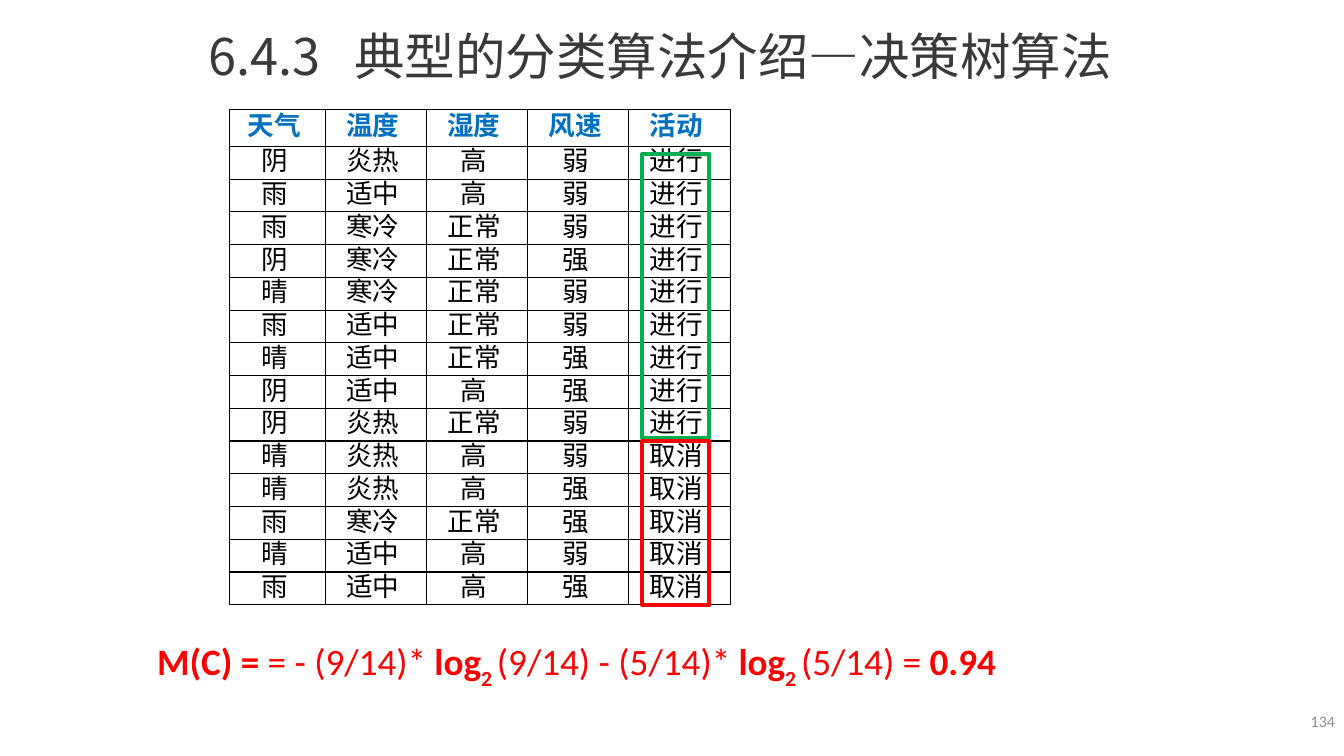
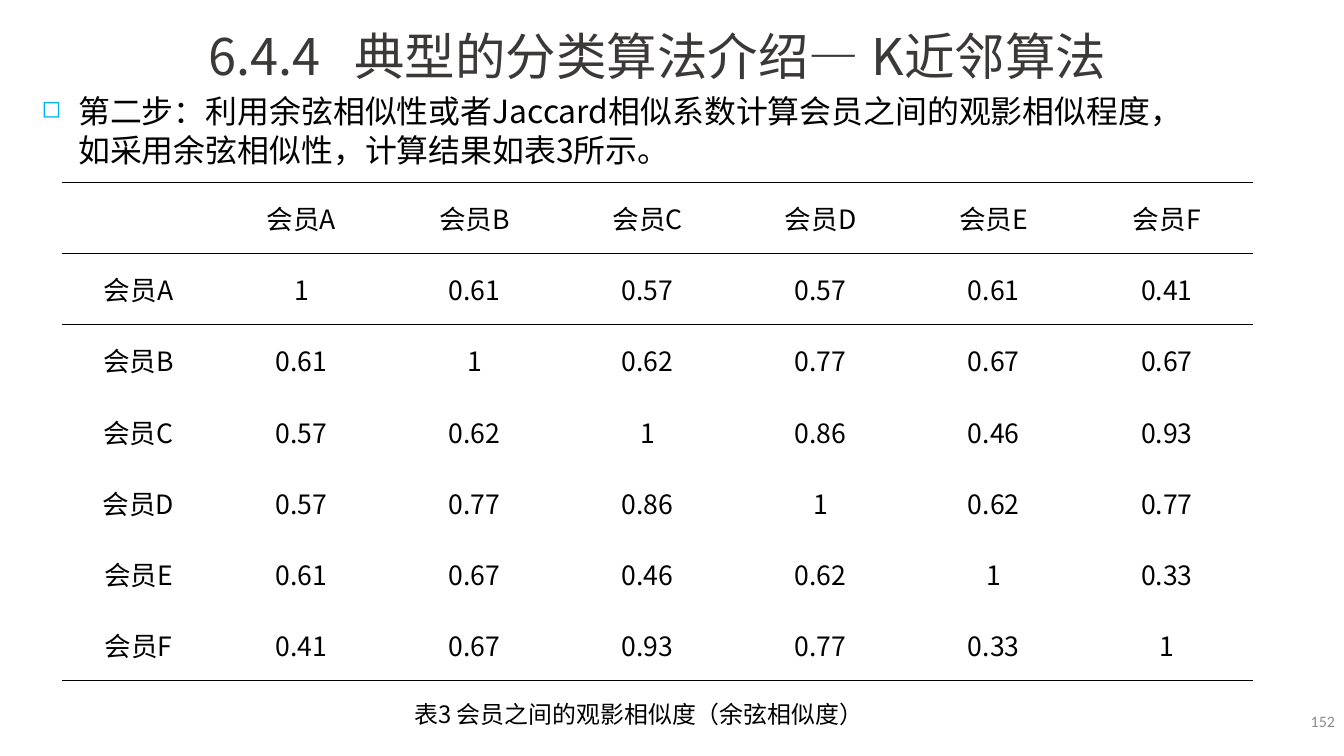
from lxml.etree import SubElement
from pptx import Presentation
from pptx.dml.color import RGBColor
from pptx.enum.shapes import MSO_SHAPE
from pptx.enum.text import MSO_ANCHOR, PP_ALIGN
from pptx.oxml.ns import qn
from pptx.util import Cm, Pt

COLORS = {
    "title": "3B3838", "number": "8C8C8C", "text": "000000", "header": "0070C0",
    "green": "00B050", "red": "FF0000", "bullet": "00B0F2",
}
CJK = "Noto Sans CJK SC"
LATIN = "Calibri"
NO_STYLE = "{2D5ABB26-0587-4C30-8999-92F81FD0307C}"


def style_span(span, size, color, font=CJK, bold=False):
    span.font.size = Pt(size)
    span.font.bold = bold
    span.font.color.rgb = RGBColor.from_string(COLORS[color])
    span.font.name = font
    SubElement(span.font._element, qn("a:ea"), typeface=font)


def add_text(page, place, texts, size, color, font=CJK, align=PP_ALIGN.LEFT,
             anchor=MSO_ANCHOR.TOP):
    frame = page.shapes.add_textbox(*[Cm(length) for length in place]).text_frame
    frame.word_wrap = True
    frame.vertical_anchor = anchor
    para = frame.paragraphs[0]
    para.alignment = align
    for text in texts:
        span = para.add_run()
        span.text = text
        style_span(span, size, color, font)
    return para


deck = Presentation()
deck.slide_width = Cm(35.71)
deck.slide_height = Cm(20.09)

weather_rows = [row.split() for row in (
    "天气 温度 湿度 风速 活动",
    "阴 炎热 高 弱 进行",
    "雨 适中 高 弱 进行",
    "雨 寒冷 正常 弱 进行",
    "阴 寒冷 正常 强 进行",
    "晴 寒冷 正常 弱 进行",
    "雨 适中 正常 弱 进行",
    "晴 适中 正常 强 进行",
    "阴 适中 高 强 进行",
    "阴 炎热 正常 弱 进行",
    "晴 炎热 高 弱 取消",
    "晴 炎热 高 强 取消",
    "雨 寒冷 正常 强 取消",
    "晴 适中 高 弱 取消",
    "雨 适中 高 强 取消",
)]
members = [f"会员{letter}" for letter in "ABCDEF"]
similarities = [
    "1 0.61 0.57 0.57 0.61 0.41",
    "0.61 1 0.62 0.77 0.67 0.67",
    "0.57 0.62 1 0.86 0.46 0.93",
    "0.57 0.77 0.86 1 0.62 0.77",
    "0.61 0.67 0.46 0.62 1 0.33",
    "0.41 0.67 0.93 0.77 0.33 1",
]
similarity_rows = [[""] + members]
similarity_rows += [[member] + row.split() for member, row in zip(members, similarities)]

slides = [
    {
        "title": ["6.4.3\t典型的分类算法介绍—决策树算法"], "number": "134",
        "rows": weather_rows, "place": (6.1, 2.9),
        "widths": [2.54] + [2.69] * 4, "heights": [0.99] + [0.87] * 14,
        "margins": (0.03, 0.03, 0.03, 0), "grid": True, "spacing": Pt(23),
        "header": "header", "suffix": " ",
    },
    {
        "title": ["6.4.4\t典型的分类算法介绍—", " ", "K近邻算法"], "number": "152",
        "rows": similarity_rows, "place": (1.65, 4.85),
        "widths": [4.06] + [4.6] * 6, "heights": [1.89] * 7,
        "margins": (0.18, 0, 0.18, 0), "grid": False, "spacing": None,
        "header": "text", "suffix": "",
    },
]

pages = []
for slide in slides:
    page = deck.slides.add_slide(deck.slide_layouts[6])
    pages.append(page)
    add_text(page, (27.69, 18.62, 8.03, 1.07), [slide["number"]], 12, "number",
             LATIN, PP_ALIGN.RIGHT, MSO_ANCHOR.MIDDLE)
    para = add_text(page, (5.3, 0.43, 25.5, 1.9), slide["title"], 38, "title")
    tabs = SubElement(para._p.get_or_add_pPr(), qn("a:tabLst"))
    SubElement(tabs, qn("a:tab"), pos=str(Cm(3.87)), algn="l")
    para.line_spacing = Pt(49)
    if len(para.runs) > 1:
        para.runs[1].font.size = Pt(40)
        para.runs[1].font.bold = True

    rows, widths, heights = slide["rows"], slide["widths"], slide["heights"]
    left, top = slide["place"]
    table = page.shapes.add_table(
        len(rows), len(widths), Cm(left), Cm(top), Cm(sum(widths)), Cm(sum(heights))
    ).table
    table.first_row = table.horz_banding = False
    table._tbl.tblPr.find(qn("a:tableStyleId")).text = NO_STYLE
    for column, width in zip(table.columns, widths):
        column.width = Cm(width)
    for r, row in enumerate(rows):
        table.rows[r].height = Cm(heights[r])
        for c, text in enumerate(row):
            cell = table.cell(r, c)
            cell.vertical_anchor = MSO_ANCHOR.MIDDLE
            (cell.margin_left, cell.margin_top, cell.margin_right,
             cell.margin_bottom) = [Cm(margin) for margin in slide["margins"]]
            ruled = {
                "L": slide["grid"], "R": slide["grid"],
                "T": slide["grid"] or r < 2,
                "B": slide["grid"] or r in (0, len(rows) - 1),
            }
            for side, shown in ruled.items():
                if shown:
                    line = SubElement(cell._tc.get_or_add_tcPr(), qn(f"a:ln{side}"), w=str(Pt(1)))
                    fill = SubElement(line, qn("a:solidFill"))
                    SubElement(fill, qn("a:srgbClr"), val=COLORS["text"])
            cell.fill.background()
            if text:
                para = cell.text_frame.paragraphs[0]
                para.text = text + slide["suffix"]
                para.alignment = PP_ALIGN.CENTER
                para.line_spacing = slide["spacing"]
                style_span(para.runs[0], 20, slide["header"] if r == 0 else "text",
                           bold=slide["grid"] and r == 0)

tree_page, neighbour_page = pages

for top, height, color in [(4.09, 7.54, "green"), (11.71, 4.37, "red")]:
    frame = tree_page.shapes.add_shape(
        MSO_SHAPE.RECTANGLE, Cm(17.07), Cm(top), Cm(1.78), Cm(height))
    frame.shadow.inherit = False
    frame.fill.background()
    frame.line.color.rgb = RGBColor.from_string(COLORS[color])
    frame.line.width = Pt(3)

formula = ["M(C) = ", "= - (9/14)*", " log", "2 ", "(9/14) - (5/14)*",
           " log", "2 ", "(5/14) = ", "0.94"]
para = add_text(tree_page, (2.67, 16.84, 25.3, 1.45), formula, 28, "red",
                LATIN, PP_ALIGN.CENTER)
for span in para.runs:
    span.font.bold = "/14" not in span.text
    if span.text == "2 ":
        span.font._element.set("baseline", "-30000")

para = add_text(
    neighbour_page, (0.86, 2.31, 31.19, 2.39),
    ["第二步：利用余弦相似性或者Jaccard相似系数计算会员之间的观影相似程度，"
     "如采用余弦相似性，计算结果如表3所示。"], 24, "text")
properties = para._p.get_or_add_pPr()
properties.set("marL", str(Cm(0.97)))
properties.set("indent", str(Cm(-0.97)))
bullet_color = SubElement(properties, qn("a:buClr"))
SubElement(bullet_color, qn("a:srgbClr"), val=COLORS["bullet"])
SubElement(properties, qn("a:buSzPct"), val="75000")
SubElement(properties, qn("a:buChar"), char="◻")
para.line_spacing = Pt(29)

add_text(neighbour_page, (9.7, 18.44, 14.55, 1.07),
         ["表3 会员之间的观影相似度（余弦相似度）"], 18, "text",
         align=PP_ALIGN.CENTER, anchor=MSO_ANCHOR.MIDDLE)

deck.save("out.pptx")
